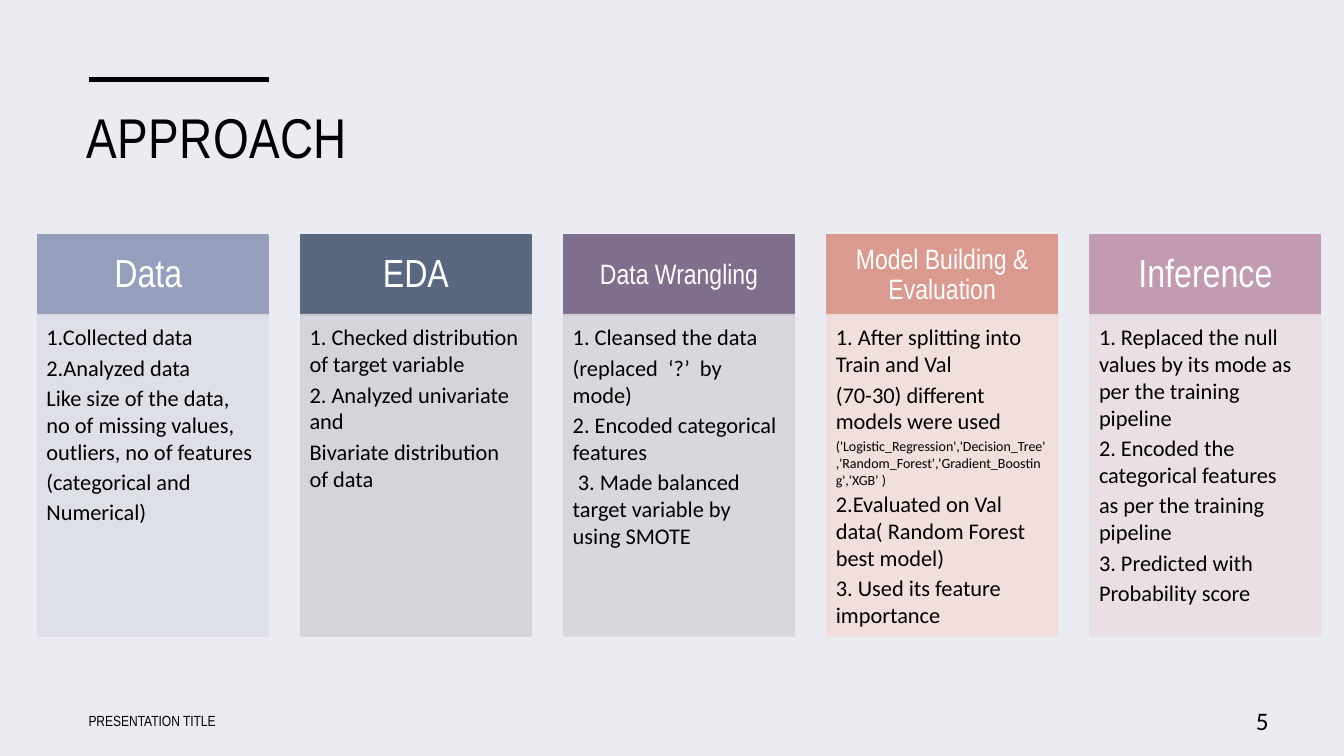
"""Build the APPROACH slide: five process columns with headings and steps."""
from lxml import etree
from pptx import Presentation
from pptx.dml.color import RGBColor
from pptx.enum.shapes import MSO_CONNECTOR, MSO_SHAPE
from pptx.enum.text import MSO_ANCHOR, MSO_AUTO_SIZE, PP_ALIGN
from pptx.oxml.ns import qn
from pptx.util import Inches, Pt

RECT, STRAIGHT = MSO_SHAPE.RECTANGLE, MSO_CONNECTOR.STRAIGHT
TOP, MIDDLE = MSO_ANCHOR.TOP, MSO_ANCHOR.MIDDLE
LEFT, CENTER, RIGHT = PP_ALIGN.LEFT, PP_ALIGN.CENTER, PP_ALIGN.RIGHT
HEAD_FONT, BODY_FONT = "Arial Narrow", "Calibri"

COLORS = {
    "background": "EAECF1", "black": "000000", "white": "FFFFFF",
    "data": "959EBB", "data_light": "DDDFE7",
    "eda": "596781", "eda_light": "D1D3D8",
    "wrangling": "7F6E8C", "wrangling_light": "D8D5DA",
    "model": "DB9A8F", "model_light": "F1DEDB",
    "inference": "C29AB1", "inference_light": "E9DEE4",
}
RGB = {name: RGBColor.from_string(value) for name, value in COLORS.items()}

MODEL_NAMES = "('Logistic_Regression','Decision_Tree','Random_Forest','Gradient_Boosting','XGB’ )"
COLUMNS = [
    ("data", "Data ", 28, [
        "1.Collected data",
        "2.Analyzed data",
        "Like size of the data, no of missing values, outliers, no of features",
        "(categorical and",
        "Numerical)"]),
    ("eda", "EDA", 28, [
        "1. Checked distribution of target variable",
        "2. Analyzed univariate and",
        "Bivariate distribution of data"]),
    ("wrangling", "Data Wrangling", 20, [
        "1. Cleansed the data",
        "(replaced  ‘?’  by mode)",
        "2. Encoded categorical features",
        " 3. Made balanced target variable by using SMOTE"]),
    ("model", "Model Building & Evaluation", 20, [
        "1. After splitting into Train and Val",
        "(70-30) different models were used",
        MODEL_NAMES,
        "2.Evaluated on Val data( Random Forest best model)",
        "3. Used its feature importance"]),
    ("inference", "Inference", 28, [
        "1. Replaced the null values by its mode as per the training pipeline",
        "2. Encoded the categorical features",
        "as per the training pipeline",
        "3. Predicted with",
        "Probability score"]),
]


def set_text(sp, lines, font, size, color, align, anchor, insets=(0.1, 0.05, 0.1, 0.05)):
    tf = sp.text_frame
    tf.word_wrap = True
    tf.auto_size = MSO_AUTO_SIZE.NONE
    tf.vertical_anchor = anchor
    tf.margin_left, tf.margin_top, tf.margin_right, tf.margin_bottom = map(Inches, insets)
    for i, line in enumerate(lines):
        p = tf.add_paragraph() if i else tf.paragraphs[0]
        p.add_run().text = line
        p.alignment = align
        p.font.name = font
        p.font.size = Pt(size)
        p.font.color.rgb = RGB[color]
    return tf.paragraphs


def add_panel(s, left, top, width, height, color, alpha=100):
    sp = s.shapes.add_shape(RECT, Inches(left), Inches(top), Inches(width), Inches(height))
    sp.shadow.inherit = False
    sp.fill.solid()
    sp.fill.fore_color.rgb = RGB[color]
    sp.line.color.rgb = RGB[color]
    sp.line.width = Pt(1)
    if alpha < 100:
        for clr in sp._element.spPr.iter(qn("a:srgbClr")):
            etree.SubElement(clr, qn("a:alpha")).set("val", str(alpha * 1000))
    return sp


prs = Presentation()
prs.slide_width, prs.slide_height = Inches(13.33), Inches(7.5)
s = prs.slides.add_slide(prs.slide_layouts[5])
s.background.fill.solid()
s.background.fill.fore_color.rgb = RGB["background"]

rule = s.shapes.add_connector(STRAIGHT, Inches(0.88), Inches(0.79), Inches(2.67), Inches(0.79))
rule.line.color.rgb = RGB["black"]
rule.line.width = Pt(3.5)
etree.SubElement(rule._element.spPr, qn("a:effectLst"))

title = s.shapes.title
title.left, title.top, title.width, title.height = map(Inches, (0.76, 0.97, 11.81, 1.15))
p = set_text(title, ["APPROACH"], HEAD_FONT, 40, "black", LEFT, TOP)[0]
p.runs[0]._r.get_or_add_rPr().set("spc", "30")

for i, (name, heading, size, steps) in enumerate(COLUMNS):
    left = 0.37 + i * 2.61
    head = add_panel(s, left, 2.33, 2.29, 0.8, name)
    insets = (0.22, 0.12, 0.22, 0.12) if size == 28 else (0.16, 0.09, 0.16, 0.09)
    p = set_text(head, [heading], HEAD_FONT, size, "white", CENTER, MIDDLE, insets)[0]
    p.line_spacing = 0.9

    body = add_panel(s, left, 3.12, 2.29, 3.19, name + "_light", 90)
    for p in set_text(body, steps, BODY_FONT, 16, "black", LEFT, TOP, (0.09, 0.09, 0.12, 0.14)):
        if p.text == MODEL_NAMES:
            p.font.size = Pt(10)
        p.space_after = Pt(p.font.size.pt * 0.15)

for text, left, width, font, size, align in [
        ("PRESENTATION TITLE", 0.78, 4.96, HEAD_FONT, 10.5, LEFT),
        ("5", 11.94, 0.74, BODY_FONT, 18, RIGHT)]:
    sp = s.shapes.add_textbox(Inches(left), Inches(6.95), Inches(width), Inches(0.4))
    set_text(sp, [text], font, size, "black", align, MIDDLE)

prs.save("out.pptx")
